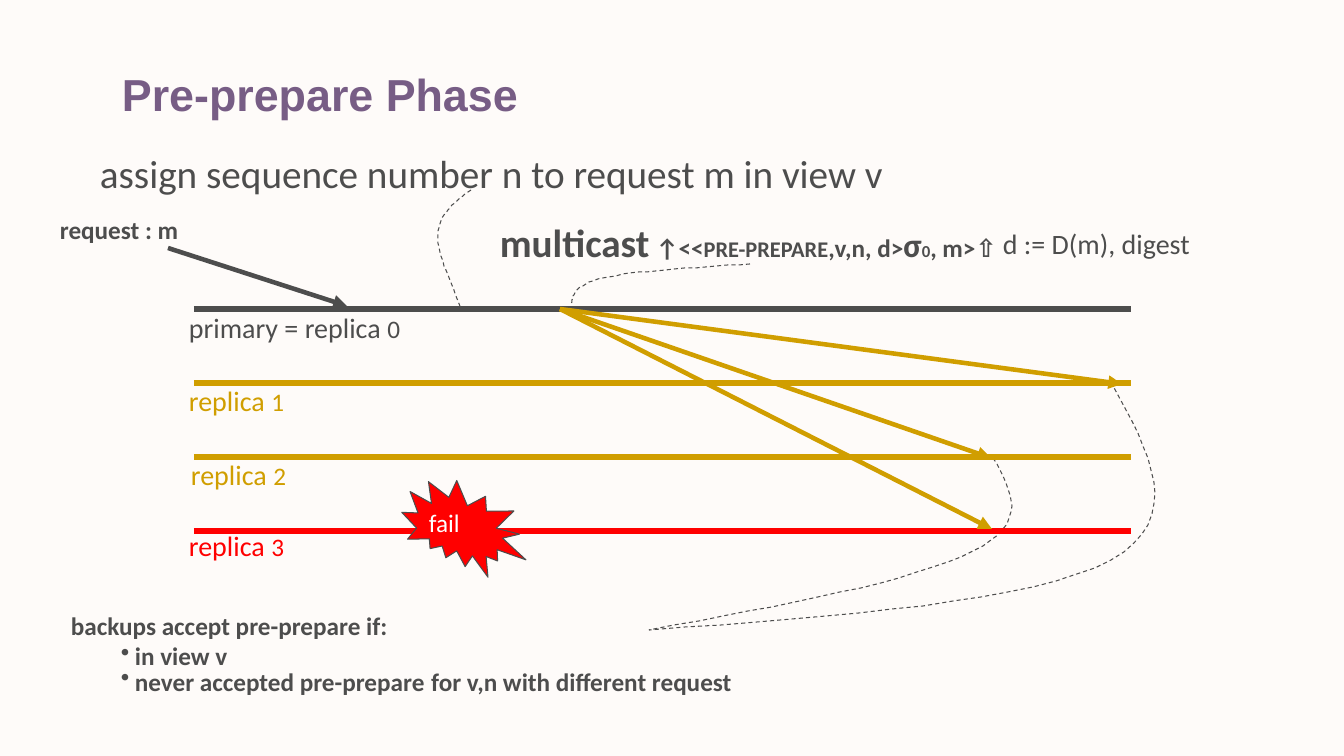
from pptx import Presentation
from pptx.dml.color import RGBColor as RGB
from pptx.enum.dml import MSO_LINE as Dash
from pptx.enum.shapes import MSO_CONNECTOR as Conn, MSO_SHAPE as Kind
from pptx.enum.text import MSO_ANCHOR as Anchor, MSO_AUTO_SIZE as Auto
from pptx.oxml.ns import qn
from pptx.util import Pt
from lxml.etree import SubElement as Sub

PX = 914400 / 100.8
HUE = {"back": "FEFBF9", "title": "775D85", "ink": "4D4D4D",
       "gold": "D09E00", "red": "FF0000", "white": "FFFFFF"}


def px(*nums):
    return [round(n * PX) for n in nums]


def write(box, *paras, hue="ink", font="Calibri", bold=False, wrap=False,
          anchor=Anchor.TOP, auto=Auto.SHAPE_TO_FIT_TEXT):
    """Each paragraph is a list of (text, size) runs."""
    frame = slide.shapes.add_textbox(*px(*box)).text_frame
    frame.word_wrap, frame.auto_size = wrap, auto
    frame.vertical_anchor = anchor
    for i, runs in enumerate(paras):
        para = frame.add_paragraph() if i else frame.paragraphs[0]
        for text, size in runs:
            run = para.add_run()
            run.text = text
            run.font.name, run.font.size = font, Pt(size)
            run.font.bold = bold
            run.font.color.rgb = RGB.from_string(HUE[hue])
    return frame


deck = Presentation()
deck.slide_width, deck.slide_height = px(1344, 756)
slide = deck.slides.add_slide(deck.slide_layouts[6])
slide.background.fill.solid()
slide.background.fill.fore_color.rgb = RGB.from_string(HUE["back"])

# Title and top captions
title = write((112, 0, 1142, 126), [("Pre-prepare Phase", 32)], hue="title",
              font="Arial", bold=True, wrap=True, anchor=Anchor.BOTTOM,
              auto=Auto.NONE)
title.paragraphs[0].line_spacing = 0.9
write((50, 209, 140, 40), [("request : m", 18)], bold=True)
write((90, 144, 812, 57),
      [("assign sequence number n to request m in view v", 28)])

# Dashed curves: a start, then cubic pieces of three points
curves = [
    [(471, 190), (456, 201), (441, 212), (438, 231),
     (436, 251), (449, 278), (460, 306)],
    [(750, 264), (691, 268), (633, 271), (603, 278),
     (573, 285), (573, 296), (571, 306)],
    [(993, 458), (1012, 491), (1030, 523), (973, 551),
     (916, 581), (782, 605), (649, 630)],
    [(1111, 382), (1149, 451), (1187, 519), (1111, 560),
     (1033, 602), (842, 616), (649, 630)],
]
STEPS = 16
for curve in curves:
    dots = []
    for k in range(0, len(curve) - 1, 3):
        for step in range(1, STEPS + 1):
            t = step / STEPS
            mix = ((1 - t) ** 3, 3 * t * (1 - t) ** 2,
                   3 * t * t * (1 - t), t ** 3)
            dots.append(tuple(sum(m * p[axis] for m, p in
                                  zip(mix, curve[k:k + 4]))
                              for axis in (0, 1)))
    pen = slide.shapes.build_freeform(*curve[0], scale=PX)
    pen.add_line_segments(dots, close=False)
    bend = pen.convert_to_shape()
    bend.shadow.inherit = False
    bend.fill.background()
    bend.line.color.rgb = RGB.from_string(HUE["ink"])
    bend.line.width, bend.line.dash_style = Pt(0.75), Dash.DASH

# Replica lanes, request arrow and multicast arrows
lanes = [("primary = replica ", "ink", 179, 306, 234),
         ("replica ", "gold", 179, 379, 117),
         ("replica ", "gold", 181, 453, 117),
         ("replica ", "red", 179, 524, 117)]
TOP, GAP = 309, 74
lines = [((168, 248), (347, 306), "ink", 3.25, True)]
for i, lane in enumerate(lanes):
    y = TOP + i * GAP
    lines.append(((194, y), (1131, y), lane[1], 4.5, False))
for tip in [(1122, 384), (991, 458), (992, 529)]:
    lines.append(((560, TOP), tip, "gold", 3.25, True))
for start, end, hue, width, head in lines:
    line = slide.shapes.add_connector(Conn.STRAIGHT, *px(*start, *end))
    line.line.color.rgb = RGB.from_string(HUE[hue])
    line.line.width = Pt(width)
    props = line._element.spPr
    if head:
        Sub(props.find(qn("a:ln")), qn("a:tailEnd"), type="triangle")
    Sub(props, qn("a:effectLst"))

# Lane labels
for i, (name, hue, x, y, wide) in enumerate(lanes):
    write((x, y, wide, 44), [(name, 20), (str(i), 18)], hue=hue)

# Failure burst
burst = slide.shapes.add_shape(Kind.EXPLOSION2, *px(399, 483, 132, 92))
burst.rotation = 41.9
burst.shadow.inherit = False
burst.fill.solid()
burst.fill.fore_color.rgb = RGB.from_string(HUE["red"])
burst.line.color.rgb = RGB.from_string(HUE["ink"])
burst.line.width = Pt(0.75)
write((419, 502, 51, 40), [("fail", 18)], hue="white")

# Rules for backups
rules = write((61, 605, 1107, 99), [("backups accept pre-prepare if:", 18)],
              [("in view v", 18)],
              [("never accepted pre-prepare", 18), (" ", 20),
               ("for v,n with different request", 18)],
              bold=True, wrap=True)
left, hang = px(64, -14)
for para in rules.paragraphs[1:]:
    para.level = 1
    props = para._p.get_or_add_pPr()
    props.set("marL", str(left))
    props.set("indent", str(hang))
    Sub(props, qn("a:buChar"), char="•")
rules.paragraphs[2].line_spacing = 0.8

# Multicast message
write((490, 213, 629, 57),
      [("multicast", 28), (" ", 20), ("↑<<", 18), ("PRE-PREPARE", 16),
       (",v,n, d>", 18), ("σ", 24), ("0", 12), (", m>⇧", 18)],
      bold=True, wrap=True)
write((993, 222, 210, 44), [("d := D(m), digest", 20)])

deck.save("out.pptx")
